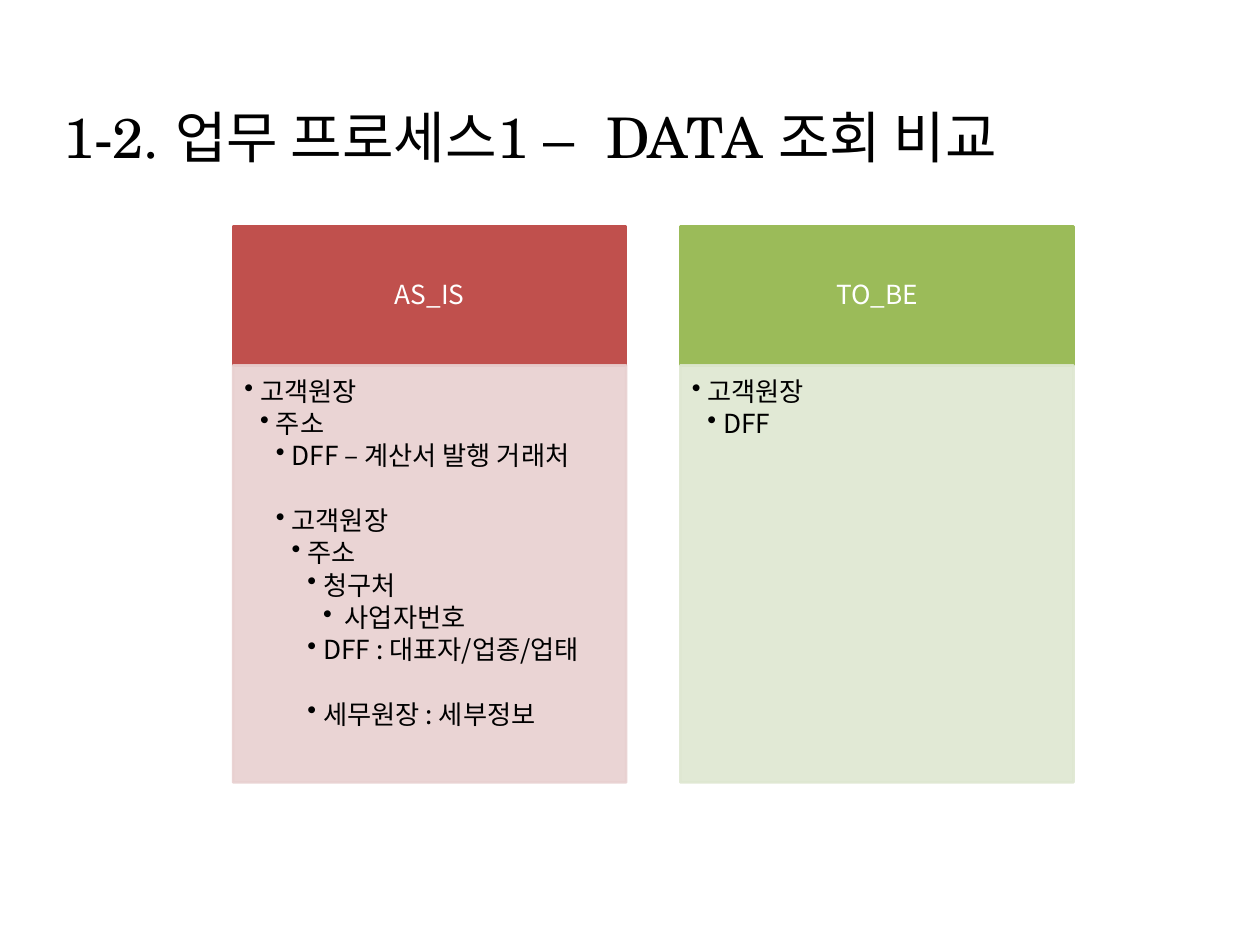
from pptx import Presentation
from pptx.dml.color import RGBColor
from pptx.enum import shapes, text
from pptx.oxml import ns
from pptx.util import Inches, Pt
from lxml import etree

BLACK = RGBColor(0x00, 0x00, 0x00)
WHITE = RGBColor(0xFF, 0xFF, 0xFF)
RED = RGBColor(0xC0, 0x50, 0x4D)
PALE_RED = RGBColor(0xE8, 0xD0, 0xD0)
GREEN = RGBColor(0x9B, 0xBB, 0x59)
PALE_GREEN = RGBColor(0xDE, 0xE7, 0xD1)

COLUMN_LEFT, COLUMN_PITCH, COLUMN_WIDTH = 1.85, 3.55, 3.12
HEADER_TOP, HEADER_HEIGHT, BODY_HEIGHT = 1.8, 1.1, 3.31
LINE_PITCH, INDENT = 18.45, 0.125

# Each item is (level, wording, starts a new group).
COLUMNS = [
    ("AS_IS", RED, PALE_RED, [
        (1, "고객원장", False),
        (2, "주소", False),
        (3, "DFF – 계산서 발행 거래처", False),
        (3, "고객원장", True),
        (4, "주소", False),
        (5, "청구처", False),
        (6, " 사업자번호", False),
        (5, "DFF : 대표자/업종/업태", False),
        (5, "세무원장 : 세부정보", True),
    ]),
    ("TO_BE", GREEN, PALE_GREEN, [
        (1, "고객원장", False),
        (2, "DFF", False),
    ]),
]


class ComparisonSlide:
    """Hold the style and current slide, and draw its title, headers and lists."""

    sans = "Noto Sans CJK KR"
    serif = "TeX Gyre Schola"

    def __init__(self, deck):
        self.slide = deck.slides.add_slide(deck.slide_layouts[5])

    def run(self, paragraph, wording, size, color, font):
        run = paragraph.add_run()
        run.text = wording
        run.font.size = Pt(size)
        run.font.name = font
        run.font.color.rgb = color
        east_asian = etree.SubElement(run._r.get_or_add_rPr(), ns.qn("a:ea"))
        east_asian.set("typeface", self.sans)

    def title(self, wording):
        title = self.slide.shapes.title
        title.left, title.top = Inches(0.4), Inches(0.82)
        title.width, title.height = Inches(9), Inches(0.81)
        frame = title.text_frame
        frame.auto_size = text.MSO_AUTO_SIZE.NONE
        frame.vertical_anchor = text.MSO_ANCHOR.TOP
        heading = frame.paragraphs[0]
        heading.alignment = text.PP_ALIGN.LEFT
        heading.line_spacing = 0.9
        self.run(heading, wording, 32, BLACK, self.serif)

    def box(self, left, top, height, color, insets, anchor):
        box = self.slide.shapes.add_shape(
            shapes.MSO_SHAPE.RECTANGLE, Inches(left), Inches(top),
            Inches(COLUMN_WIDTH), Inches(height))
        box.shadow.inherit = False
        box.fill.solid()
        box.fill.fore_color.rgb = color
        box.line.color.rgb = color
        box.line.width = Pt(1.5)
        frame = box.text_frame
        frame.word_wrap = True
        frame.vertical_anchor = anchor
        (frame.margin_left, frame.margin_top,
         frame.margin_right, frame.margin_bottom) = map(Inches, insets)
        return box

    def header(self, left, wording, color):
        header = self.box(left, HEADER_TOP, HEADER_HEIGHT, color,
                          (0.12, 0.07, 0.12, 0.07), text.MSO_ANCHOR.MIDDLE)
        label = header.text_frame.paragraphs[0]
        label.alignment = text.PP_ALIGN.CENTER
        label.line_spacing = 0.9
        self.run(label, wording, 15, WHITE, self.sans)

    def bullets(self, left, color, items):
        panel = self.box(left, HEADER_TOP + HEADER_HEIGHT, BODY_HEIGHT, color,
                         (0.09, 0.07, 0.12, 0.13), text.MSO_ANCHOR.TOP)
        for tint in panel._element.spPr.iter(ns.qn("a:srgbClr")):
            etree.SubElement(tint, ns.qn("a:alpha")).set("val", "90000")
        frame = panel.text_frame
        for index, (level, wording, new_group) in enumerate(items):
            item = frame.add_paragraph() if index else frame.paragraphs[0]
            item.level = level - 1
            item.alignment = text.PP_ALIGN.LEFT
            item.line_spacing = Pt(LINE_PITCH)
            item.space_before = Pt(LINE_PITCH if new_group else 0)
            properties = item._p.get_or_add_pPr()
            properties.set("marL", str(Inches(level * INDENT)))
            properties.set("indent", str(-Inches(INDENT)))
            etree.SubElement(properties, ns.qn("a:buChar")).set("char", "•")
            self.run(item, wording, 15, BLACK, self.sans)


def main():
    deck = Presentation()
    deck.slide_width, deck.slide_height = Inches(10), Inches(7.5)
    comparison = ComparisonSlide(deck)
    comparison.title("1-2. 업무 프로세스1 –  DATA 조회 비교")
    for index, (heading, color, pale, items) in enumerate(COLUMNS):
        left = COLUMN_LEFT + index * COLUMN_PITCH
        comparison.header(left, heading, color)
        comparison.bullets(left, pale, items)
    deck.save("out.pptx")


if __name__ == "__main__":
    main()
